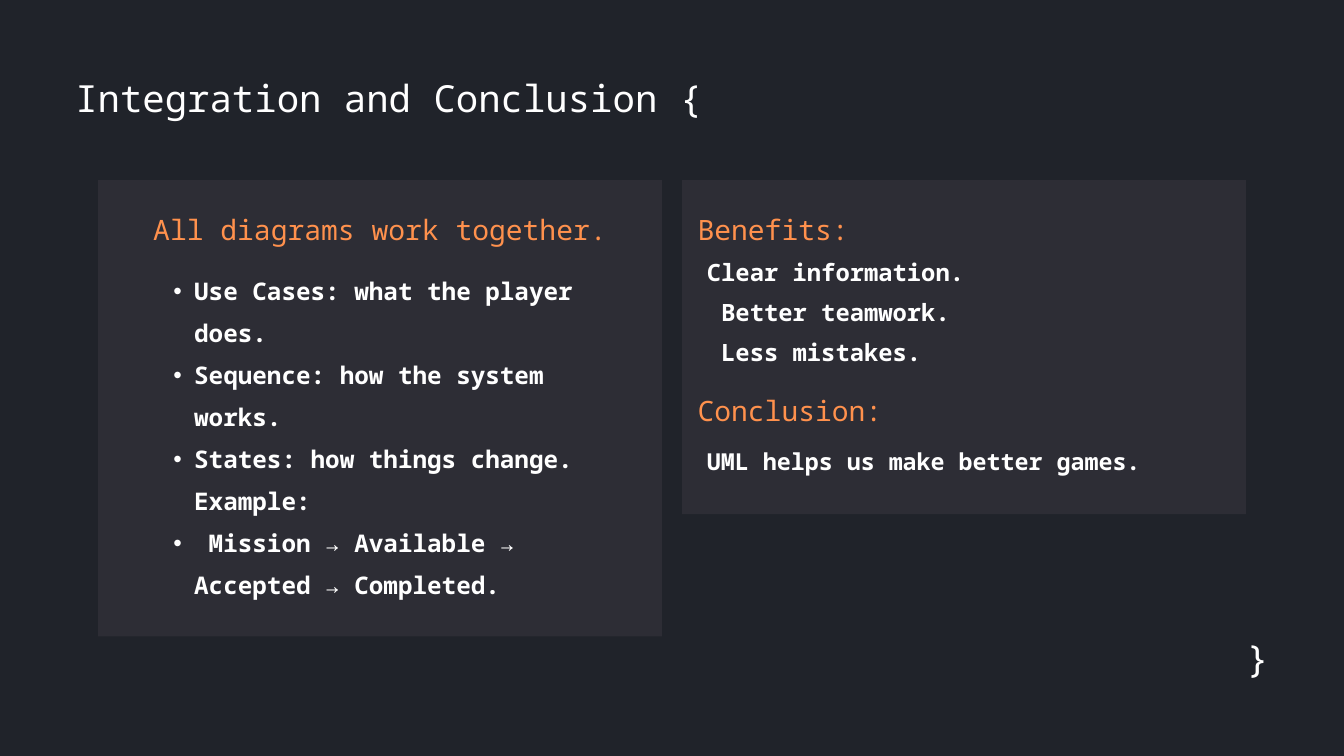
from lxml import etree
from pptx import Presentation
from pptx.dml.color import RGBColor
from pptx.enum.shapes import MSO_SHAPE
from pptx.enum.text import MSO_ANCHOR, MSO_AUTO_SIZE, PP_ALIGN
from pptx.oxml.ns import qn
from pptx.util import Inches, Pt

BACKGROUND = RGBColor(0x20, 0x23, 0x2A)
PANEL = RGBColor(0x2D, 0x2D, 0x35)
ORANGE = RGBColor(0xFF, 0x91, 0x4D)
WHITE = RGBColor(0xFF, 0xFF, 0xFF)

RECTANGLE = MSO_SHAPE.RECTANGLE
TOP = MSO_ANCHOR.TOP
NO_AUTOFIT = MSO_AUTO_SIZE.NONE
LEFT, RIGHT, JUSTIFY = PP_ALIGN.LEFT, PP_ALIGN.RIGHT, PP_ALIGN.JUSTIFY

FONT = "Noto Sans Mono"
TITLE_LAYOUT = 5
TITLE_STYLE = {"size": Pt(40), "bold": False, "color": WHITE}
HEADING_STYLE = {"size": Pt(30), "bold": False, "color": ORANGE}
BENEFIT_STYLE = {"size": Pt(25.5), "bold": True, "color": WHITE}
DIAGRAM_STYLE = {"size": Pt(26), "bold": True, "color": WHITE}
CONCLUSION_STYLE = {"size": Pt(25), "bold": True, "color": WHITE}

PANELS = [(1.46, 2.68, 8.39, 6.79), (10.15, 2.68, 8.39, 4.97)]
HEADINGS = [
    ("All diagrams work together.", 2.28, 3.16),
    ("Benefits:", 10.38, 3.16),
    ("Conclusion:", 10.38, 5.86),
]
DIAGRAMS = [
    "Use Cases: what the player does.",
    "Sequence: how the system works.",
    "States: how things change. Example:",
    " Mission → Available → Accepted → Completed.",
]
BENEFITS = ["Clear information.", " Better teamwork.", " Less mistakes."]


def add_panel(slide, box):
    panel = slide.shapes.add_shape(RECTANGLE, *map(Inches, box))
    panel.shadow.inherit = False
    panel.fill.solid()
    panel.fill.fore_color.rgb = PANEL
    panel.line.fill.background()


def set_font(font, style):
    for name, value in {"name": FONT, **style}.items():
        if name == "color":
            font.color.rgb = value
        else:
            setattr(font, name, value)


def add_bullet(paragraph):
    paragraph.level = 1
    properties = paragraph._p.get_or_add_pPr()
    properties.set("marL", str(Inches(0.61)))
    properties.set("indent", str(Inches(-0.31)))
    etree.SubElement(properties, qn("a:buFont"), typeface="Arial")
    etree.SubElement(properties, qn("a:buChar"), char="•")


def write_lines(frame, lines, style, leading, align=LEFT, bulleted=False):
    frame_format = {
        "margin_left": 0, "margin_top": 0, "margin_right": 0, "margin_bottom": 0,
        "word_wrap": True, "auto_size": NO_AUTOFIT, "vertical_anchor": TOP,
    }
    for name, value in frame_format.items():
        setattr(frame, name, value)
    paragraph_format = {
        "alignment": align, "line_spacing": Pt(leading),
        "space_before": Pt(0), "space_after": Pt(0),
    }
    for index, line in enumerate(lines):
        paragraph = frame.add_paragraph() if index else frame.paragraphs[0]
        for name, value in paragraph_format.items():
            setattr(paragraph, name, value)
        if bulleted:
            add_bullet(paragraph)
        run = paragraph.add_run()
        run.text = line
        set_font(run.font, style)


def add_text(slide, box, lines, style, leading, **options):
    textbox = slide.shapes.add_textbox(*map(Inches, box))
    write_lines(textbox.text_frame, lines, style, leading, **options)


def place_title(slide, box, text):
    title = slide.shapes.title
    for side, length in zip(("left", "top", "width", "height"), box):
        setattr(title, side, Inches(length))
    write_lines(title.text_frame, [text], TITLE_STYLE, 45.6)


def main():
    presentation = Presentation()
    presentation.slide_width = Inches(20)
    presentation.slide_height = Inches(11.25)
    slide = presentation.slides.add_slide(presentation.slide_layouts[TITLE_LAYOUT])
    slide.background.fill.solid()
    slide.background.fill.fore_color.rgb = BACKGROUND

    place_title(slide, (1.12, 1.15, 9.8, 0.64), "Integration and Conclusion {")
    for box in PANELS:
        add_panel(slide, box)
    for heading, left, top in HEADINGS:
        add_text(slide, (left, top, 6.85, 0.49), [heading], HEADING_STYLE, 35.7)
    add_text(slide, (2.28, 3.92, 7.17, 5.33), DIAGRAMS, DIAGRAM_STYLE, 45, bulleted=True)
    add_text(slide, (10.52, 3.66, 6.44, 1.76), BENEFITS, BENEFIT_STYLE, 42.9, align=JUSTIFY)
    add_text(slide, (10.52, 6.6, 6.85, 0.47), ["UML helps us make better games."],
             CONCLUSION_STYLE, 34.2)
    add_text(slide, (18.11, 9.49, 0.77, 0.64), ["}"], TITLE_STYLE, 45.6, align=RIGHT)

    presentation.save("out.pptx")


if __name__ == "__main__":
    main()
